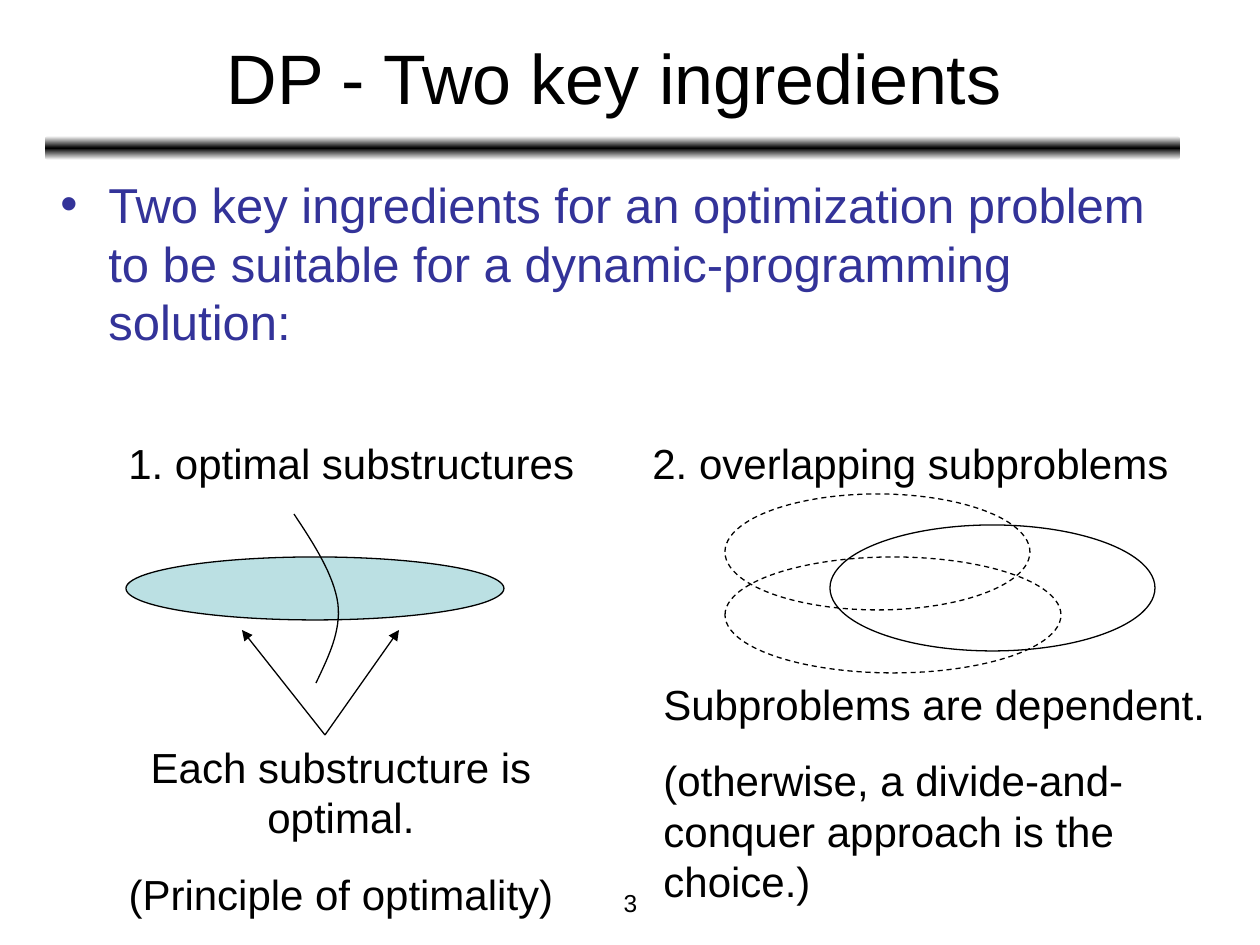
from copy import deepcopy
from dataclasses import dataclass
from typing import NamedTuple

from lxml.etree import SubElement
from pptx import Presentation
from pptx.dml.color import RGBColor
from pptx.enum.dml import MSO_LINE
from pptx.enum.shapes import MSO_CONNECTOR, MSO_SHAPE
from pptx.enum.text import MSO_ANCHOR, MSO_AUTO_SIZE, PP_ALIGN
from pptx.oxml.ns import qn
from pptx.util import Emu, Pt


@dataclass(frozen=True)
class Theme:
    font: str = "Arial"
    ink: RGBColor = RGBColor(0, 0, 0)
    paper: RGBColor = RGBColor(255, 255, 255)
    accent: RGBColor = RGBColor(0x33, 0x33, 0x99)
    oval: RGBColor = RGBColor(0xBB, 0xE0, 0xE3)
    title_size: int = 40
    body_size: int = 28
    label_size: int = 24
    number_size: int = 14
    label_gap: int = 15
    body_gap: int = 7
    line_width: float = 0.74


class Area(NamedTuple):
    left: int
    top: int
    width: int
    height: int


class Point(NamedTuple):
    x: int
    y: int


class Oval(NamedTuple):
    area: Area
    fill: RGBColor | None = None
    dashed: bool = False


class Label(NamedTuple):
    area: Area
    text: str
    align: PP_ALIGN = PP_ALIGN.LEFT
    size: int = 24
    gap: int = 15


THEME = Theme()
EMU_PER_PIXEL = 914400 / 126


def px(length: float) -> Emu:
    return Emu(round(length * EMU_PER_PIXEL))


def place(shape, area: Area) -> None:
    shape.left, shape.top, shape.width, shape.height = map(px, area)


def format_text(frame, text: str, size: int, color: RGBColor, align: PP_ALIGN, gap: int = 0) -> None:
    frame.word_wrap = True
    frame.auto_size = MSO_AUTO_SIZE.NONE
    frame.text = text
    for para in frame.paragraphs:
        para.alignment = align
        para.space_before = Pt(gap)
        for span in para.runs:
            span.font.name = THEME.font
            span.font.size = Pt(size)
            span.font.color.rgb = color


def add_label(page, label: Label, color: RGBColor = THEME.ink):
    box = page.shapes.add_textbox(*map(px, label.area))
    format_text(box.text_frame, label.text, label.size, color, label.align, label.gap)
    return box


def add_bullet(para, indent: int) -> None:
    properties = para._p.get_or_add_pPr()
    properties.set("marL", str(px(indent)))
    properties.set("indent", str(-px(indent)))
    SubElement(properties, qn("a:buFont"), typeface=THEME.font)
    SubElement(properties, qn("a:buChar"), char="•")


def outline(shape, dashed: bool = False) -> None:
    shape.line.color.rgb = THEME.ink
    shape.line.width = Pt(THEME.line_width)
    if dashed:
        shape.line.dash_style = MSO_LINE.DASH


def add_oval(page, oval: Oval) -> None:
    shape = page.shapes.add_shape(MSO_SHAPE.OVAL, *map(px, oval.area))
    shape.shadow.inherit = False
    if oval.fill is None:
        shape.fill.background()
    else:
        shape.fill.solid()
        shape.fill.fore_color.rgb = oval.fill
    outline(shape, oval.dashed)


def add_title_bar(page, area: Area) -> None:
    bar = page.shapes.add_shape(MSO_SHAPE.ROUNDED_RECTANGLE, *map(px, area))
    bar.shadow.inherit = False
    bar.line.fill.background()
    bar.fill.gradient()
    bar.fill.gradient_angle = 90
    stops = bar._element.spPr.find(qn("a:gradFill")).find(qn("a:gsLst"))
    stops.insert(1, deepcopy(stops[0]))
    colors = (THEME.paper, THEME.ink, THEME.paper)
    for index, (stop, color) in enumerate(zip(bar.fill.gradient_stops, colors)):
        stop.position = index / 2
        stop.color.rgb = color


def add_arrow(page, start: Point, end: Point) -> None:
    arrow = page.shapes.add_connector(MSO_CONNECTOR.STRAIGHT, *map(px, start + end))
    outline(arrow)
    SubElement(arrow.line._get_or_add_ln(), qn("a:tailEnd"), type="triangle")
    SubElement(arrow._element.spPr, qn("a:effectLst"))


def curve_point(controls: tuple[Point, ...], t: float) -> tuple[int, int]:
    weights = ((1 - t) ** 3, 3 * t * (1 - t) ** 2, 3 * t**2 * (1 - t), t**3)
    x, y = (sum(w * value for w, value in zip(weights, axis)) for axis in zip(*controls))
    return px(x), px(y)


def add_curve(page, points: tuple[Point, ...], steps: int = 16) -> None:
    segments = [points[index:index + 4] for index in range(0, len(points) - 1, 3)]
    vertices = [curve_point(segment, step / steps) for segment in segments for step in range(1, steps + 1)]
    builder = page.shapes.build_freeform(*map(px, points[0]))
    builder.add_line_segments(vertices, close=False)
    curve = builder.convert_to_shape()
    curve.shadow.inherit = False
    curve.fill.background()
    outline(curve)


TITLE_BAR = Area(45, 136, 1135, 24)
TITLE = Label(Area(47, 14, 1134, 125), "DP - Two key ingredients", PP_ALIGN.CENTER, THEME.title_size)
NUMBER = Label(Area(431, 882, 399, 44), "3", PP_ALIGN.CENTER, THEME.number_size, 0)
BODY = Label(
    Area(48, 168, 1134, 699),
    "Two key ingredients for an optimization problem to be suitable for a dynamic-programming solution:",
    size=THEME.body_size,
    gap=THEME.body_gap,
)
LABELS = (
    Label(Area(84, 735, 514, 190), "Each substructure is optimal.\n(Principle of optimality)", PP_ALIGN.CENTER),
    Label(Area(116, 431, 514, 63), "1. optimal substructures"),
    Label(Area(640, 431, 546, 63), "2. overlapping subproblems"),
    Label(
        Area(651, 672, 609, 241),
        "Subproblems are dependent.\n(otherwise, a divide-and-conquer approach is the choice.)",
    ),
)
SUBSTRUCTURE = Oval(Area(126, 557, 378, 63), THEME.oval)
SUBPROBLEMS = (
    Oval(Area(725, 494, 305, 116), dashed=True),
    Oval(Area(830, 525, 325, 126)),
    Oval(Area(725, 557, 336, 116), dashed=True),
)
DIVIDER = (
    Point(294, 514), Point(314, 544), Point(334, 575), Point(338, 604),
    Point(341, 631), Point(329, 656), Point(316, 683),
)
ARROW_START = Point(325, 735)
ARROW_ENDS = (Point(242, 630), Point(399, 630))

deck = Presentation()
deck.slide_width, deck.slide_height = px(1260), px(945)
page = deck.slides.add_slide(deck.slide_layouts[5])

title = page.shapes.title
place(title, TITLE.area)
format_text(title.text_frame, TITLE.text, TITLE.size, THEME.ink, TITLE.align)
title.text_frame.vertical_anchor = MSO_ANCHOR.MIDDLE

add_title_bar(page, TITLE_BAR)
add_label(page, NUMBER)
body = add_label(page, BODY, THEME.accent)
add_bullet(body.text_frame.paragraphs[0], 48)

add_oval(page, SUBSTRUCTURE)
add_curve(page, DIVIDER)
for arrow_end in ARROW_ENDS:
    add_arrow(page, ARROW_START, arrow_end)
for subproblem in SUBPROBLEMS:
    add_oval(page, subproblem)
for label in LABELS:
    add_label(page, label)

deck.save("out.pptx")
